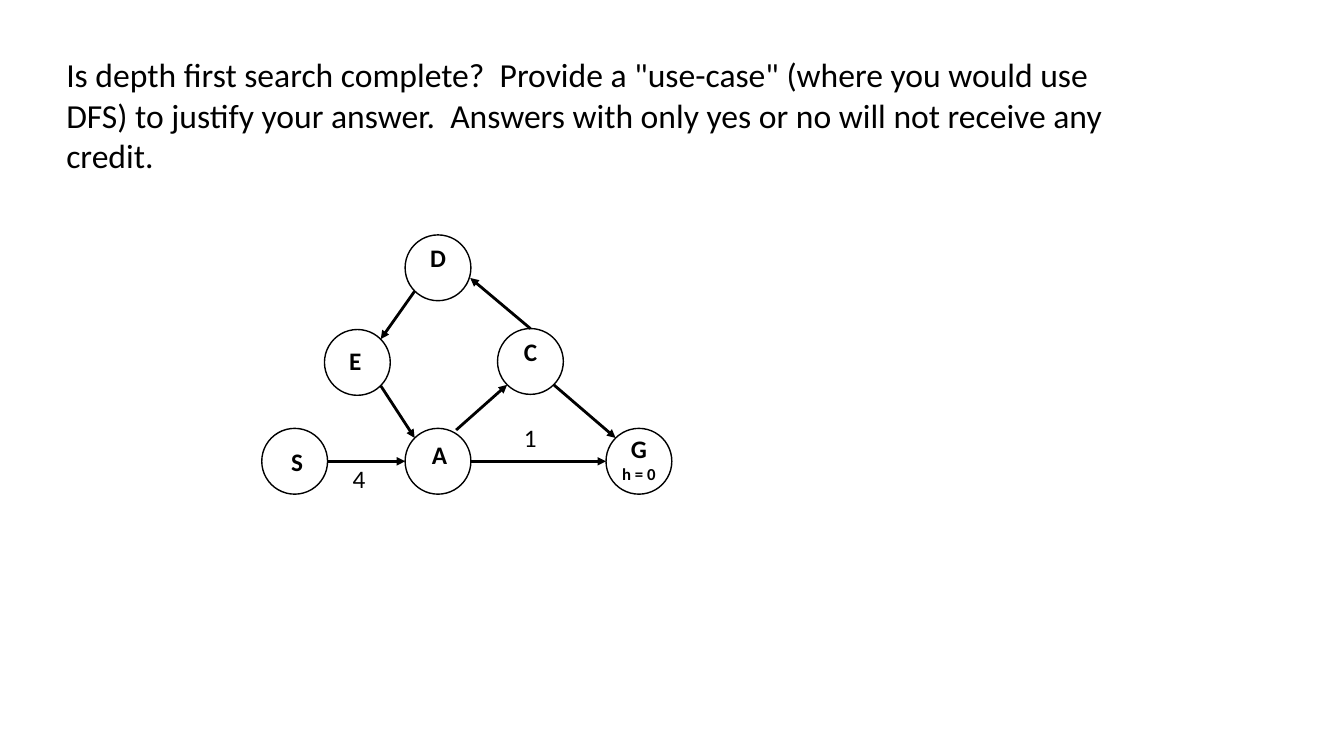
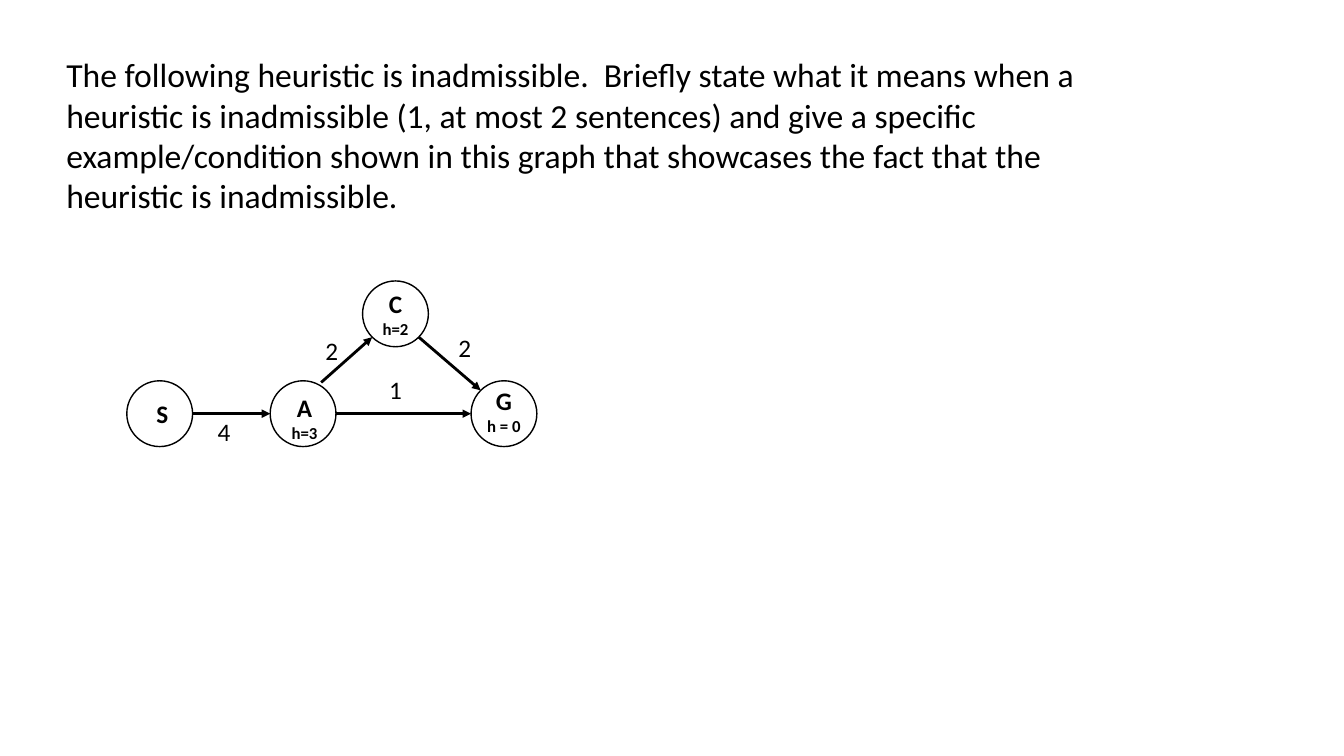
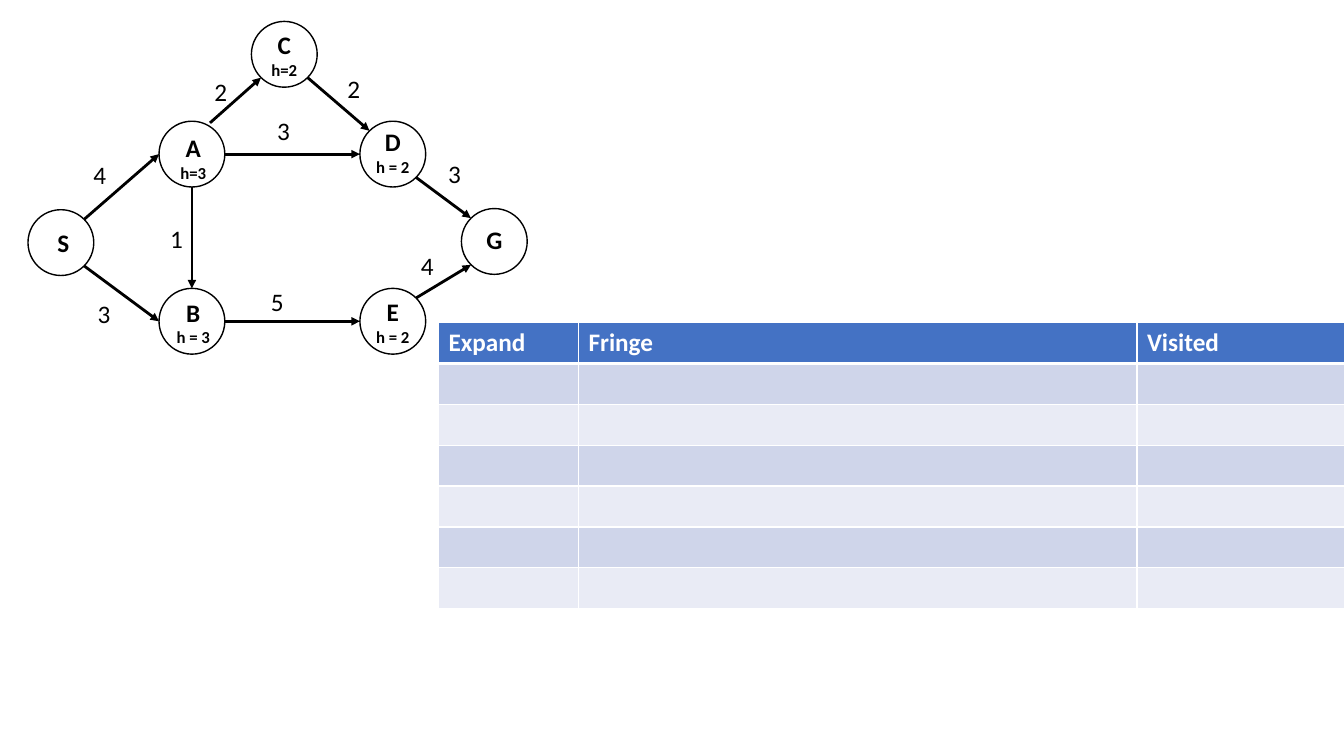
"""Build three slides of search questions with node-and-arrow graphs."""
from dataclasses import dataclass

from lxml import etree
from pptx import Presentation
from pptx.dml.color import RGBColor
from pptx.enum import shapes, text
from pptx.oxml.ns import qn
from pptx.util import Pt


@dataclass(frozen=True)
class Theme:
    font: str = "Calibri"
    ink: str = "000000"
    paper: str = "FFFFFF"
    header: str = "4472C4"
    bands: tuple = ("CFD5EA", "E9EBF5")
    question: int = 24
    body: int = 18
    small: int = 12
    node: int = 47


PORTS = {
    "N": (0, -1), "S": (0, 1), "E": (1, 0), "W": (-1, 0),
    "NE": (0.71, -0.71), "SE": (0.71, 0.71),
    "SW": (-0.71, 0.71), "NW": (-0.71, -0.71),
    "NNE": (0.55, -0.95), "ESE": (0.98, 0.31),
}


class Deck:
    def __init__(self, theme):
        self.theme = theme
        self.prs = Presentation()
        self.prs.slide_width, self.prs.slide_height = Pt(960), Pt(540)
        self.slide = None

    def new_slide(self):
        self.slide = self.prs.slides.add_slide(self.prs.slide_layouts[6])

    def style(self, p, size, color=None, bold=False):
        for r in p.runs:
            r.font.name, r.font.size, r.font.bold = self.theme.font, Pt(size), bold
            r.font.color.rgb = RGBColor.from_string(color or self.theme.ink)

    def textbox(self, x, y, w, h, content, sizes, bold=False, center=False, wrap=False):
        tf = self.slide.shapes.add_textbox(Pt(x), Pt(y), Pt(w), Pt(h)).text_frame
        tf.text = content
        tf.word_wrap = wrap
        tf.auto_size = text.MSO_AUTO_SIZE.SHAPE_TO_FIT_TEXT
        for p, size in zip(tf.paragraphs, sizes):
            if center:
                p.alignment = text.PP_ALIGN.CENTER
            self.style(p, size, bold=bold)

    def question(self, content, height):
        self.textbox(40.3, 35.3, 761, height, content, [self.theme.question], wrap=True)

    def node(self, x, y, label, drop, shift=0):
        d = self.theme.node
        sp = self.slide.shapes.add_shape(
            shapes.MSO_SHAPE.OVAL, Pt(x), Pt(y), Pt(d), Pt(d))
        sp.shadow.inherit = False
        sp.fill.background()
        sp.line.color.rgb = RGBColor.from_string(self.theme.ink)
        sp.line.width = Pt(1)
        w = 39 if " " in label else 33
        h = 44 if "\n" in label else 29
        self.textbox(x + (d - w) / 2 + shift, y + drop, w, h, label,
                     [self.theme.body, self.theme.small], bold=True, center=True)

    def arrow(self, start, end):
        line = self.slide.shapes.add_connector(
            shapes.MSO_CONNECTOR.STRAIGHT, *(Pt(v) for v in (*start, *end)))
        line.line.color.rgb = RGBColor.from_string(self.theme.ink)
        line.line.width = Pt(2)
        etree.SubElement(line.line._get_or_add_ln(), qn("a:tailEnd"), type="triangle")
        etree.SubElement(line._element.spPr, qn("a:effectLst"))

    def graph(self, x, y, nodes, edges):
        radius = self.theme.node / 2

        def port(name, side):
            return [origin + offset + radius * (1 + part) for origin, offset, part
                    in zip((x, y), nodes[name[0]], PORTS[side])]

        for dx, dy, *label in nodes.values():
            self.node(x + dx, y + dy, *label)
        for start, out, end, into, *weight in edges:
            self.arrow(port(start, out), port(end, into))
            if weight:
                value, dx, dy = weight
                self.textbox(x + dx, y + dy, 24, 29, value, [self.theme.body])

    def border(self, cell, side, width):
        ln = etree.SubElement(cell._tc.get_or_add_tcPr(), qn(f"a:ln{side}"),
                              w=str(Pt(width)))
        fill = etree.SubElement(ln, qn("a:solidFill"))
        etree.SubElement(fill, qn("a:srgbClr"), val=self.theme.paper)

    def table(self, x, y, widths, row_height, headings, rows):
        table = self.slide.shapes.add_table(
            rows, len(widths), Pt(x), Pt(y), Pt(sum(widths)), Pt(rows * row_height)).table
        for column, width in zip(table.columns, widths):
            column.width = Pt(width)
        for i, row in enumerate(table.rows):
            row.height = Pt(row_height)
            color = self.theme.bands[(i - 1) % 2] if i else self.theme.header
            for cell in row.cells:
                for side in "LRTB":
                    heavy = (i, side) in ((0, "B"), (1, "T"))
                    self.border(cell, side, 3 if heavy else 1)
                cell.fill.solid()
                cell.fill.fore_color.rgb = RGBColor.from_string(color)
        for cell, heading in zip(table.rows[0].cells, headings):
            cell.text = heading
            self.style(cell.text_frame.paragraphs[0], self.theme.body,
                       self.theme.paper, bold=True)


LEFT, RIGHT, PEAK = (-102.4, 0), (143.5, 0), (66, -71.3)
START = (*LEFT, "S", 9, 1.8)
GOAL = (*RIGHT, "G\nh = 0", 0)
BASE_EDGES = [
    ("S", "E", "A", "W", "4", -44.6, 21.6),
    ("A", "E", "G", "W", "1", 77.8, -8),
]
CLIMB = ("A", "NNE", "C", "SW")
CLIMB_COST, DESCENT_COST = ("2", 32.4, -35.8), ("2", 127.4, -38)

deck = Deck(Theme())

deck.new_slide()
deck.question(
    'Is depth first search complete?\u00a0 Provide a "use-case" (where you would use DFS) '
    "to justify your answer.\u00a0 Answers with only yes or no will not receive any credit.",
    94)
deck.graph(289.4, 306, {
    "S": START,
    "A": (0, 0, "A", 4.5, 1),
    "G": GOAL,
    "C": (*PEAK, "C", 2),
    "D": (0, -138.2, "D", 2),
    "E": (-57.6, -70.6, "E", 8, -1.5),
}, BASE_EDGES + [
    CLIMB,
    ("C", "SE", "G", "NW"),
    ("C", "N", "D", "ESE"),
    ("D", "SW", "E", "NE"),
    ("E", "SE", "A", "NW"),
])

deck.new_slide()
deck.question(
    "The following heuristic is inadmissible.\u00a0 Briefly state what it means when a "
    "heuristic is inadmissible (1, at most 2 sentences) and give a specific "
    "example/condition shown in this graph that showcases the fact that the heuristic "
    "is inadmissible.", 124)
deck.graph(193, 272, {
    "S": START,
    "A": (0, 0, "A\nh=3", 4.5, 1),
    "G": GOAL,
    "C": (*PEAK, "C\nh=2", 2),
}, BASE_EDGES + [
    (*CLIMB, *CLIMB_COST),
    ("C", "SE", "G", "NW", *DESCENT_COST),
])

deck.new_slide()
deck.graph(113.6, 86.6, {
    "S": (-93.6, 63.2, "S", 9, 1.8),
    "A": (0, 0, "A\nh=3", 4.5, 1),
    "B": (0, 119.4, "B\nh = 3", 2.5, 1),
    "D": (*RIGHT, "D\nh = 2", 0),
    "E": (143.5, 119.4, "E\nh = 2", 2),
    "G": (216, 62.4, "G", 8),
    "C": (*PEAK, "C\nh=2", 2),
}, [
    ("S", "NE", "A", "W", "4", -54, 23.6),
    ("S", "SE", "B", "W", "3", -51, 123),
    ("A", "S", "B", "N", "1", 0.8, 69.6),
    ("A", "E", "D", "W", "3", 77.2, -8),
    ("B", "E", "E", "W", "5", 72.8, 114.3),
    ("D", "SE", "G", "NW", "3", 199.4, 22.8),
    ("E", "NE", "G", "SW", "4", 180, 88.4),
    (*CLIMB, *CLIMB_COST),
    ("C", "SE", "D", "NW", *DESCENT_COST),
])
deck.table(313.2, 230.4, (100, 399, 148), 29.2, ("Expand", "Fringe", "Visited"), 7)

deck.prs.save("out.pptx")
